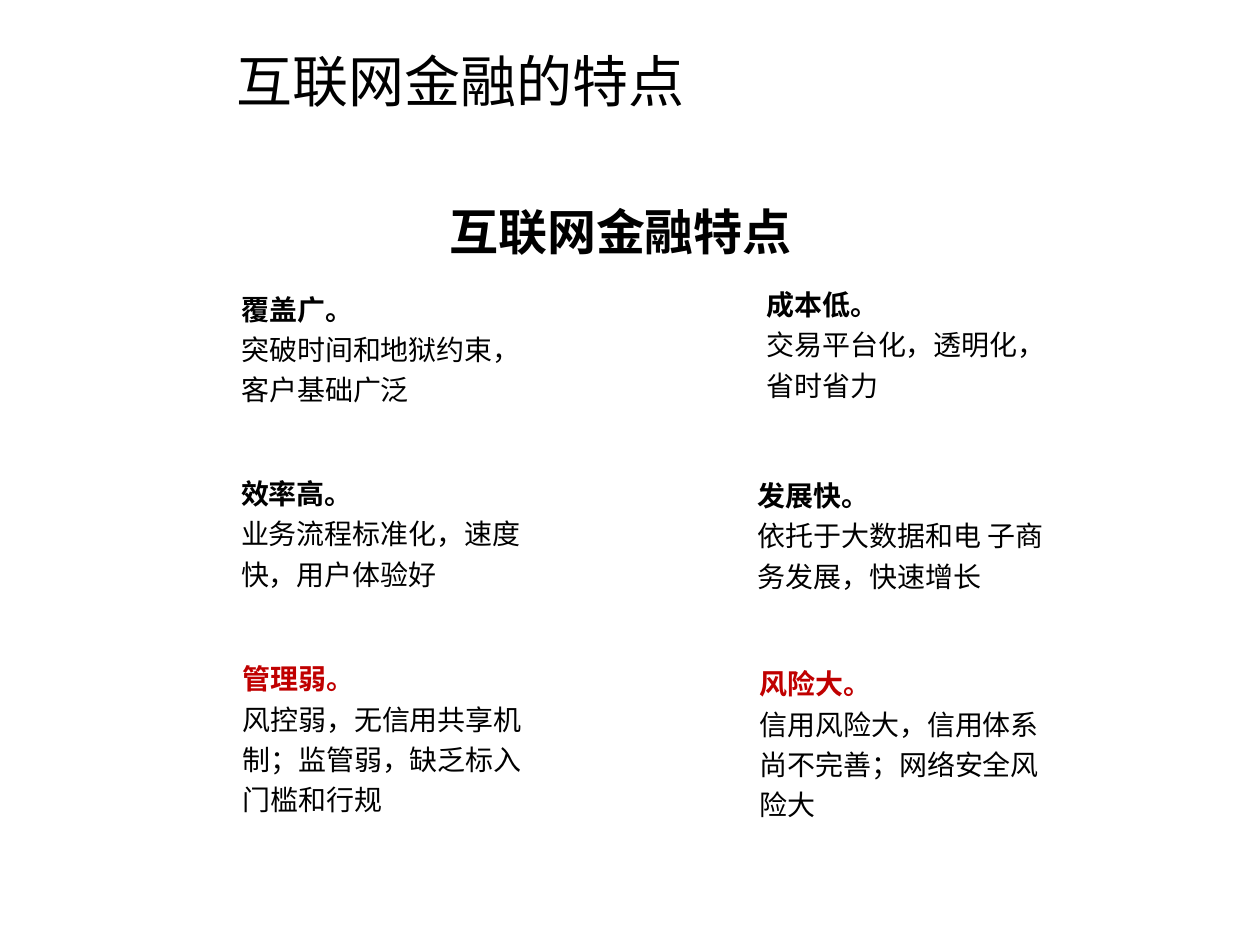
from lxml.etree import SubElement
from pptx import Presentation
from pptx.dml.color import RGBColor as RGB
from pptx.enum.shapes import MSO_SHAPE as SHAPE
from pptx.enum.text import MSO_ANCHOR as ANCHOR, PP_ALIGN as ALIGN
from pptx.oxml.ns import qn
from pptx.util import Inches, Pt

FONT = "Noto Sans CJK SC"
COLORS = {"black": "000000", "red": "C00000"}
ROWS = (2.25, 3.75, 5.25)
TRAITS = [
    (1.77, 0, 2.68, 0.99, "覆盖广。", "突破时间和地狱约束，客户基础广泛", "black"),
    (1.77, 1, 2.68, 0.92, "效率高。", "业务流程标准化，速度快，用户体验好", "black"),
    (1.77, 2, 2.6, 1.18, "管理弱。",
     "风控弱，无信用共享机制；监管弱，缺乏标入门槛和行规", "red"),
    (5.94, 0, 2.54, 0.92, "成本低。", "交易平台化，透明化，省时省力", "black"),
    (5.87, 1, 2.68, 0.95, "发展快。", "依托于大数据和电 子商务发展，快速增长", "black"),
    (5.87, 2, 2.68, 1.26, "风险大。",
     "信用风险大，信用体系尚不完善；网络安全风险大", "red"),
]


def write(para, text, size=16, bold=False, color="black",
          align=ALIGN.LEFT, space=1.0):
    para.alignment = align
    para.line_spacing = space
    run = para.add_run()
    run.text = text
    font = run.font
    font.name = FONT
    font.size = Pt(size)
    font.bold = bold
    font.color.rgb = RGB.from_string(COLORS[color])
    SubElement(font._element, qn("a:ea"), typeface=FONT)


def add_label(slide, box, text, anchor=ANCHOR.TOP, **style):
    frame = slide.shapes.add_textbox(*map(Inches, box)).text_frame
    frame.word_wrap = True
    frame.vertical_anchor = anchor
    write(frame.paragraphs[0], text, **style)


def add_trait(slide, left, row, width, height, head, body, color):
    box = map(Inches, (left, ROWS[row], width, height))
    card = slide.shapes.add_shape(SHAPE.ROUNDED_RECTANGLE, *box)
    card.shadow.inherit = False
    card.fill.background()
    card.line.fill.background()
    frame = card.text_frame
    frame.word_wrap = True
    frame.vertical_anchor = ANCHOR.MIDDLE
    write(frame.paragraphs[0], head, bold=True, color=color, space=1.2)
    write(frame.add_paragraph(), body, space=1.2)


def main():
    deck = Presentation()
    deck.slide_width, deck.slide_height = Inches(10), Inches(7.5)
    slide = deck.slides.add_slide(deck.slide_layouts[6])
    add_label(slide, (1.78, 0.13, 7.4, 1.01), "互联网金融的特点",
              anchor=ANCHOR.MIDDLE, size=32)
    for trait in TRAITS:
        add_trait(slide, *trait)
    add_label(slide, (3.35, 1.55, 3.15, 0.57), "互联网金融特点",
              size=28, bold=True, align=ALIGN.CENTER)
    deck.save("out.pptx")


if __name__ == "__main__":
    main()
